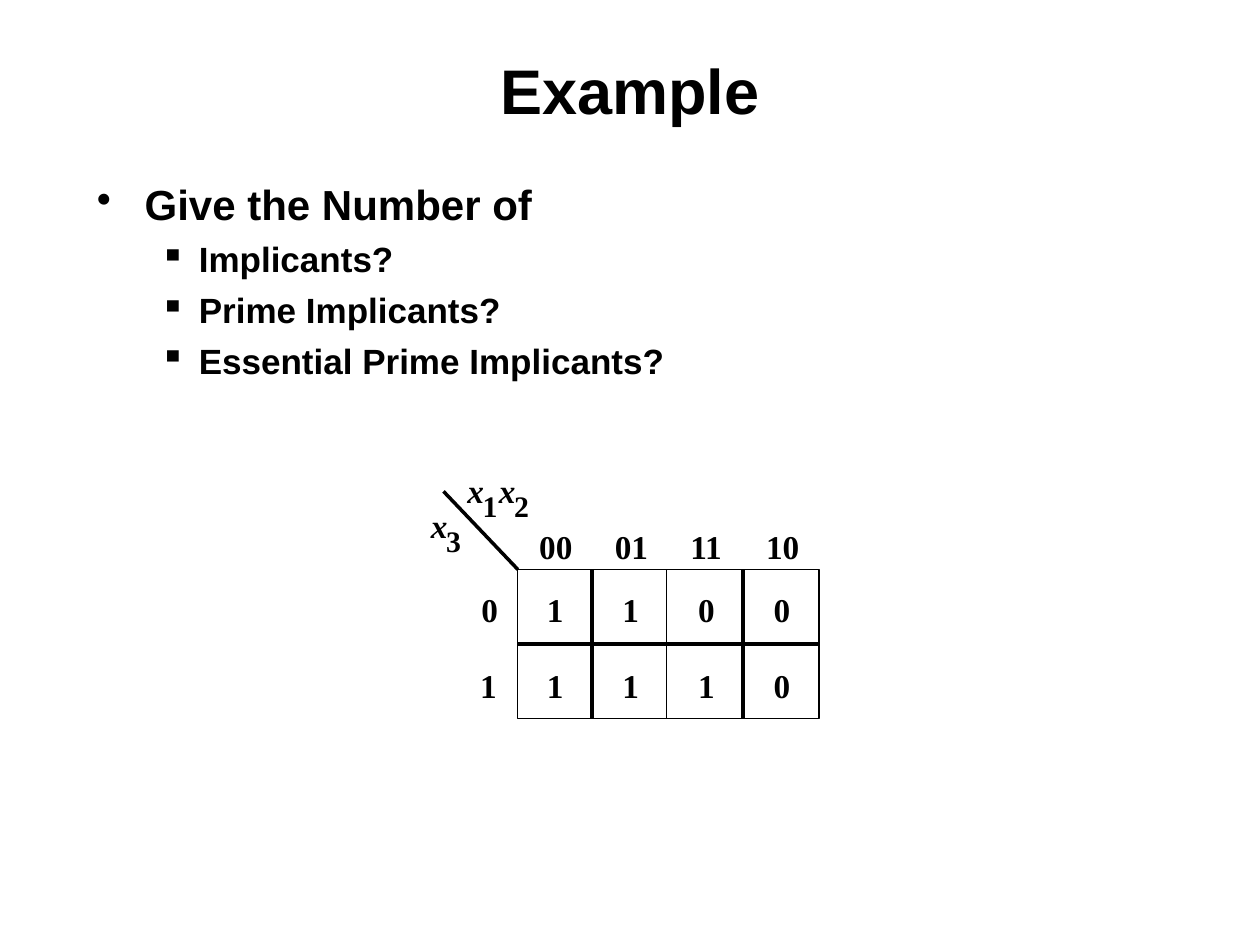
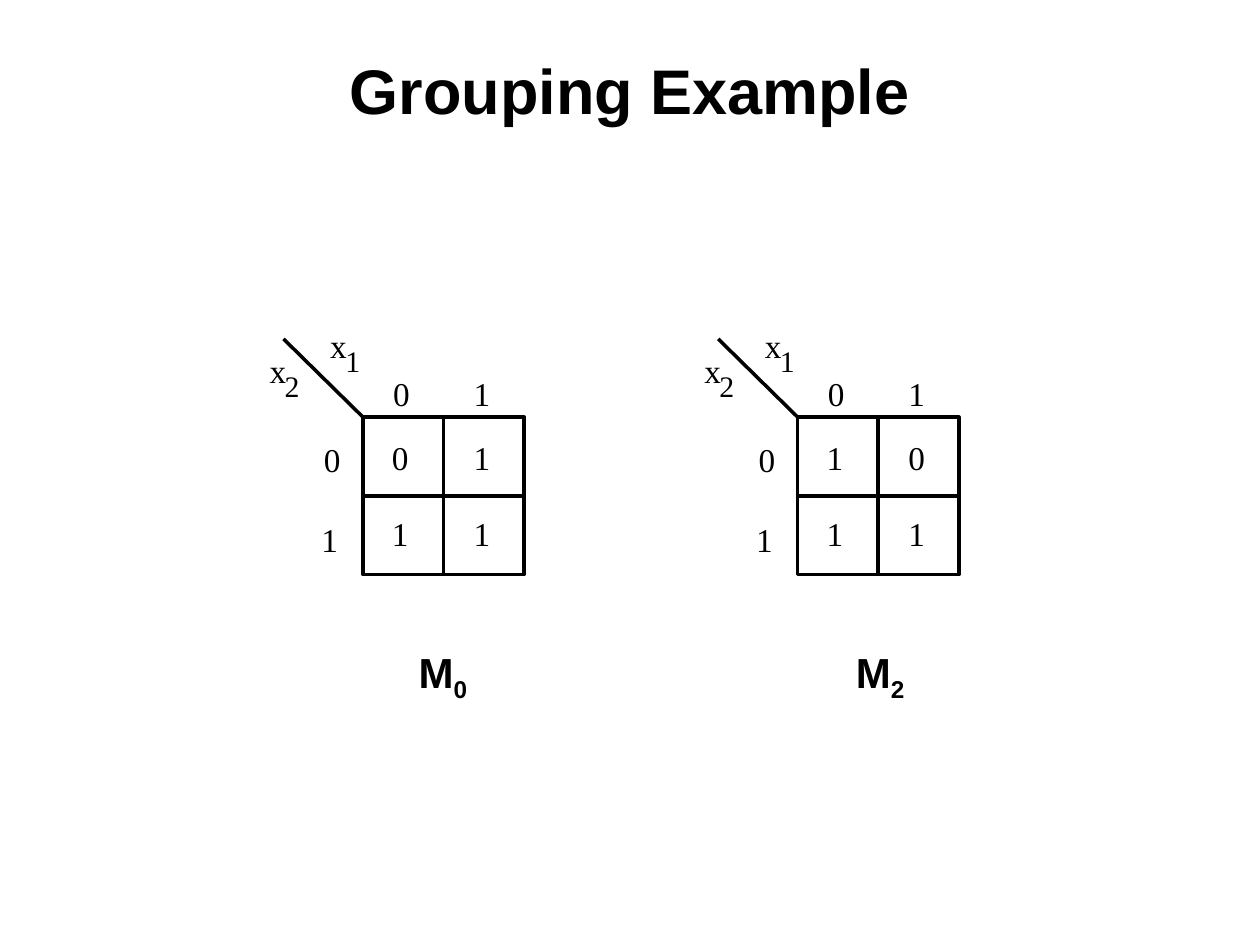
from dataclasses import dataclass
from typing import NamedTuple

from lxml import etree
from pptx import Presentation
from pptx.dml.color import RGBColor
from pptx.enum.shapes import MSO_CONNECTOR, MSO_SHAPE
from pptx.enum.text import MSO_ANCHOR, PP_ALIGN
from pptx.oxml.ns import qn
from pptx.util import Inches, Pt

STRAIGHT = MSO_CONNECTOR.STRAIGHT
RECTANGLE = MSO_SHAPE.RECTANGLE
LEFT, CENTER = PP_ALIGN.LEFT, PP_ALIGN.CENTER
TOP, MIDDLE = MSO_ANCHOR.TOP, MSO_ANCHOR.MIDDLE
SITE_TOP, SITE_LEFT, SITE_BOTTOM, SITE_RIGHT = range(4)

SANS, SERIF = "Arial", "Times New Roman"
BLACK, WHITE = "000000", "FFFFFF"
DIGIT_SIZE, INDEX_SIZE = 19, 17
DIGIT_WIDTH = 0.15


class Series(NamedTuple):
    """Start of a row of labels, measured from the grid corner, and its step."""
    x: float
    y: float
    dx: float
    dy: float


class Variable(NamedTuple):
    name: str
    index: str
    x: float
    y: float


class Bullet(NamedTuple):
    char: str
    margin: float
    hanging: float
    size: float
    before: float


@dataclass(frozen=True)
class MapStyle:
    """Measures of a Karnaugh map; every place is relative to the grid corner."""
    block_widths: tuple[float, ...]
    height: float
    diagonal: tuple[float, float]
    headers: tuple[str, ...]
    header_series: Series
    row_series: Series
    cell_series: Series
    variables: tuple[Variable, ...]
    line_width: float
    fill: str | None = None
    bold: bool = False


@dataclass(frozen=True)
class KarnaughMap:
    left: float
    top: float
    rows: tuple[str, ...]
    style: MapStyle


WIDE_MAP = MapStyle(
    block_widths=(1.18, 1.21), height=1.18, diagonal=(-0.59, -0.62),
    headers=("00", "01", "11", "10"),
    header_series=Series(0.17, -0.34, 0.6, 0),
    row_series=Series(-0.29, 0.16, -0.01, 0.6),
    cell_series=Series(0.23, 0.16, 0.6, 0.6),
    variables=(Variable("x", "1", -0.4, -0.79), Variable("x", "2", -0.15, -0.79),
               Variable("x", "3", -0.69, -0.51)),
    line_width=0, bold=True)

SMALL_MAP = MapStyle(
    block_widths=(1.28,), height=1.25, diagonal=(-0.63, -0.62),
    headers=("0", "1"),
    header_series=Series(0.24, -0.35, 0.64, 0),
    row_series=Series(-0.31, 0.18, -0.02, 0.63),
    cell_series=Series(0.23, 0.16, 0.65, 0.6),
    variables=(Variable("x", "2", -0.74, -0.53), Variable("x", "1", -0.26, -0.73)),
    line_width=2, fill=WHITE)

TOPIC = Bullet("•", 0.38, 0.38, 24, 0)
QUESTION = Bullet("▪", 0.81, 0.31, 20, 5)
QUESTIONS = ((TOPIC, "Give the Number of"), (QUESTION, "Implicants?"),
             (QUESTION, "Prime Implicants?"),
             (QUESTION, "Essential Prime Implicants?"))


def rgb(value: str) -> RGBColor:
    return RGBColor.from_string(value)


def set_font(font, size: float, name: str, bold: bool, italic: bool = False) -> None:
    font.size, font.name = Pt(size), name
    font.bold, font.italic = bold, italic
    font.color.rgb = rgb(BLACK)


def add_text(s, text: str, left: float, top: float, width: float, height: float, *,
             size: float = DIGIT_SIZE, font: str = SERIF, bold: bool = False,
             italic: bool = False, align=LEFT, anchor=TOP, padded: bool = False,
             subscript: str = ""):
    sp = s.shapes.add_textbox(Inches(left), Inches(top), Inches(width), Inches(height))
    tf = sp.text_frame
    tf.word_wrap, tf.vertical_anchor = True, anchor
    if not padded:
        tf.margin_left = tf.margin_right = tf.margin_top = tf.margin_bottom = 0
    p = tf.paragraphs[0]
    p.alignment = align
    for part in filter(None, (text, subscript)):
        r = p.add_run()
        r.text = part
        set_font(r.font, size, font, bold, italic)
    if subscript:
        r.font._element.set("baseline", "-25000")
    return sp


def add_title(s, text: str) -> None:
    add_text(s, text, 0, 0.33, 10, 0.75, size=36, font=SANS, bold=True,
             align=CENTER, anchor=MIDDLE, padded=True)


def add_bullets(s, items: tuple[tuple[Bullet, str], ...]) -> None:
    sp = s.shapes.add_textbox(Inches(0.67), Inches(1.37), Inches(8.67), Inches(5.38))
    tf = sp.text_frame
    tf.word_wrap = True
    for i, (bullet, text) in enumerate(items):
        p = tf.add_paragraph() if i else tf.paragraphs[0]
        p.level = int(bullet is QUESTION)
        p.space_before = Pt(bullet.before)
        pPr = p._p.get_or_add_pPr()
        pPr.set("marL", str(Inches(bullet.margin)))
        pPr.set("indent", str(-Inches(bullet.hanging)))
        color = etree.SubElement(pPr, qn("a:buClr"))
        etree.SubElement(color, qn("a:srgbClr")).set("val", BLACK)
        etree.SubElement(pPr, qn("a:buChar")).set("char", bullet.char)
        r = p.add_run()
        r.text = text
        set_font(r.font, bullet.size, SANS, True)


def add_line(s, x1: float, y1: float, x2: float, y2: float, width: float):
    line = s.shapes.add_connector(STRAIGHT, Inches(x1), Inches(y1),
                                  Inches(x2), Inches(y2))
    line.line.color.rgb = rgb(BLACK)
    line.line.width = Pt(width)
    etree.SubElement(line._element.spPr, qn("a:effectLst"))
    return line


def add_block(s, left: float, top: float, width: float, style: MapStyle) -> None:
    """Draw a rectangle that two lines divide into four cells."""
    sp = s.shapes.add_shape(RECTANGLE, Inches(left), Inches(top),
                            Inches(width), Inches(style.height))
    sp.shadow.inherit = False
    if style.fill:
        sp.fill.solid()
        sp.fill.fore_color.rgb = rgb(style.fill)
    else:
        sp.fill.background()
    sp.line.color.rgb = rgb(BLACK)
    sp.line.width = Pt(style.line_width)
    for begin, end in ((SITE_RIGHT, SITE_LEFT), (SITE_BOTTOM, SITE_TOP)):
        divider = add_line(s, left, top, left, top, style.line_width)
        divider.begin_connect(sp, begin)
        divider.end_connect(sp, end)


def add_map(s, kmap: KarnaughMap) -> None:
    style, left, top = kmap.style, kmap.left, kmap.top

    def label(text: str, x: float, y: float, **fmt) -> None:
        add_text(s, text, left + x, top + y, DIGIT_WIDTH * len(text), 0.32,
                 bold=style.bold, **fmt)

    block_left = left
    for width in style.block_widths:
        add_block(s, block_left, top, width, style)
        block_left += width
    dx, dy = style.diagonal
    add_line(s, left + dx, top + dy, left, top, style.line_width)

    for v in style.variables:
        label(v.name, v.x, v.y, italic=style.bold)
        label(v.index, v.x + 0.12, v.y + 0.14, size=INDEX_SIZE)

    heads, sides, cells = style.header_series, style.row_series, style.cell_series
    for col, header in enumerate(style.headers):
        label(header, heads.x + col * heads.dx, heads.y)
    for row, values in enumerate(kmap.rows):
        label(str(row), sides.x + row * sides.dx, sides.y + row * sides.dy)
        for col, value in enumerate(values):
            label(value, cells.x + col * cells.dx, cells.y + row * cells.dy)


def add_slide(prs, title: str):
    s = prs.slides.add_slide(prs.slide_layouts[6])
    add_title(s, title)
    return s


def main() -> None:
    prs = Presentation()
    prs.slide_width, prs.slide_height = Inches(10), Inches(7.5)

    s = add_slide(prs, "Example")
    add_bullets(s, QUESTIONS)
    add_map(s, KarnaughMap(4.11, 4.52, ("1100", "1110"), WIDE_MAP))

    s = add_slide(prs, "Grouping Example")
    for index, left, caption_left, rows in (("0", 2.88, 2.67, ("01", "11")),
                                            ("2", 6.33, 6.14, ("10", "11"))):
        add_map(s, KarnaughMap(left, 3.31, rows, SMALL_MAP))
        add_text(s, "M", caption_left, 5.08, 1.69, 0.56, size=24, font=SANS,
                 bold=True, align=CENTER, padded=True, subscript=index)

    prs.save("out.pptx")


if __name__ == "__main__":
    main()
